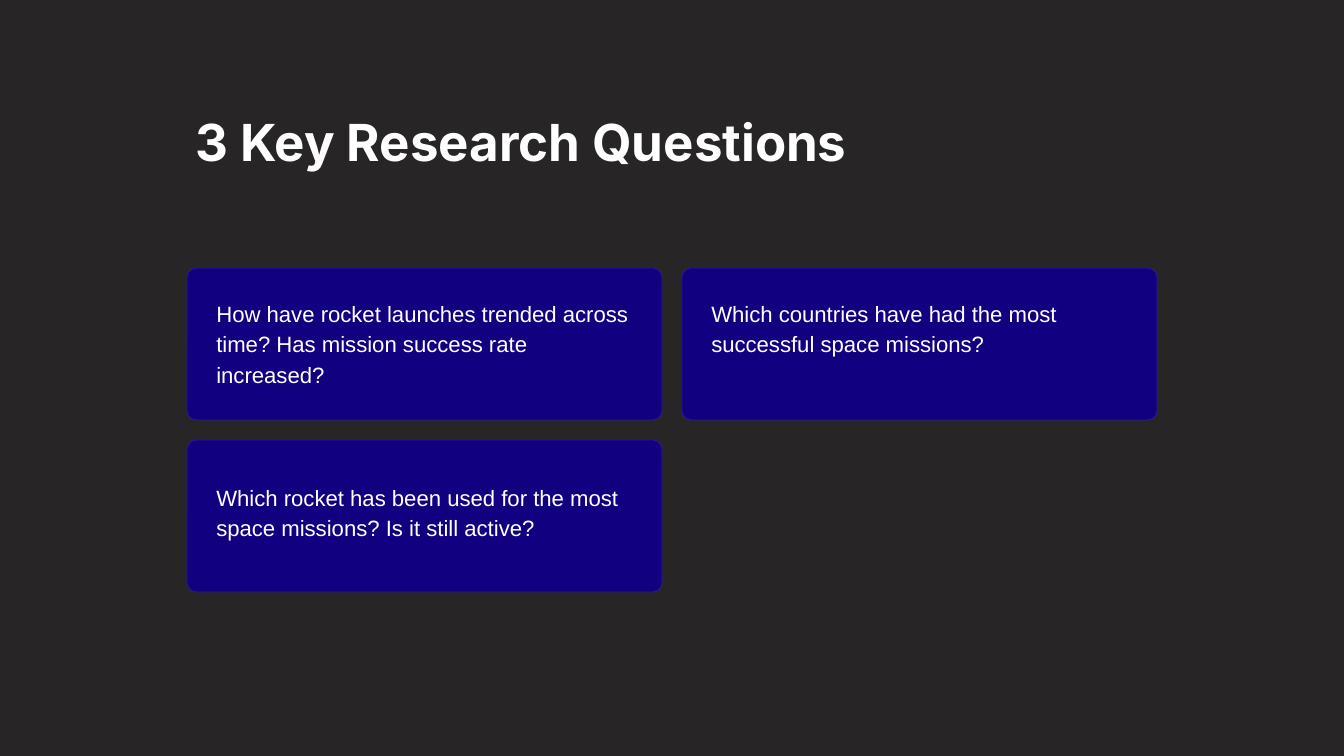
from dataclasses import dataclass

from pptx import Presentation
from pptx.dml.color import RGBColor
from pptx.enum.shapes import MSO_SHAPE
from pptx.util import Pt

EMU_PER_PX = 914400 / 84


@dataclass(frozen=True)
class Theme:
    """Colours, fonts and type sizes of the slide."""
    background: RGBColor = RGBColor.from_string("272525")
    card: RGBColor = RGBColor.from_string("110080")
    card_edge: RGBColor = RGBColor.from_string("2A1999")
    text: RGBColor = RGBColor.from_string("FFFFFF")
    title_font: str = "Inter"
    body_font: str = "Arial"
    title_size: float = 43.7
    body_size: float = 19


THEME = Theme()
QUESTIONS = [
    ("How have rocket launches trended across time? Has mission success rate increased?", 24),
    ("Which countries have had the most successful space missions?", 24),
    ("Which rocket has been used for the most space missions? Is it still active?", 36),
]


def px(*lengths):
    """Turn px lengths into EMU."""
    return [round(length * EMU_PER_PX) for length in lengths]


def add_text(slide, box, wording, font, size, spacing, bold=False):
    """Write one wrapped paragraph in the box."""
    frame = slide.shapes.add_textbox(*px(*box)).text_frame
    frame.word_wrap = True
    paragraph = frame.paragraphs[0]
    paragraph.text = wording
    paragraph.line_spacing = spacing
    paragraph.font.name = font
    paragraph.font.size = Pt(size)
    paragraph.font.bold = bold
    paragraph.font.color.rgb = THEME.text


def add_title(slide, box):
    """Write the slide title in the box."""
    add_text(slide, box, "3 Key Research Questions",
             THEME.title_font, THEME.title_size, 1.25, bold=True)


def add_question_card(slide, box, question, text_top):
    """Draw a rounded card with its question inside the box."""
    left, top, width, height = box
    card = slide.shapes.add_shape(MSO_SHAPE.ROUNDED_RECTANGLE, *px(*box))
    card.adjustments[0] = 0.06
    card.shadow.inherit = False
    card.fill.solid()
    card.fill.fore_color.rgb = THEME.card
    card.line.color.rgb = THEME.card_edge
    card.line.width = Pt(0.75)
    add_text(slide, (left + 21, top + text_top, width - 42, height - text_top - 22),
             question, THEME.body_font, THEME.body_size, 1.15)


def add_question_grid(slide, box):
    """Lay the question cards out in a grid of two columns and two rows."""
    left, top, width, height = box
    gap = 20
    card_width, card_height = (width - gap) // 2, (height - gap) // 2
    for index, (question, text_top) in enumerate(QUESTIONS):
        row, column = divmod(index, 2)
        card_box = (left + column * (card_width + gap), top + row * (card_height + gap),
                    card_width, card_height)
        add_question_card(slide, card_box, question, text_top)


def main():
    """Build and save the slide."""
    presentation = Presentation()
    presentation.slide_width, presentation.slide_height = px(1344, 756)
    slide = presentation.slides.add_slide(presentation.slide_layouts[6])
    slide.background.fill.solid()
    slide.background.fill.fore_color.rgb = THEME.background
    add_title(slide, (187, 91, 911, 137))
    add_question_grid(slide, (187, 268, 970, 324))
    presentation.save("out.pptx")


if __name__ == "__main__":
    main()
